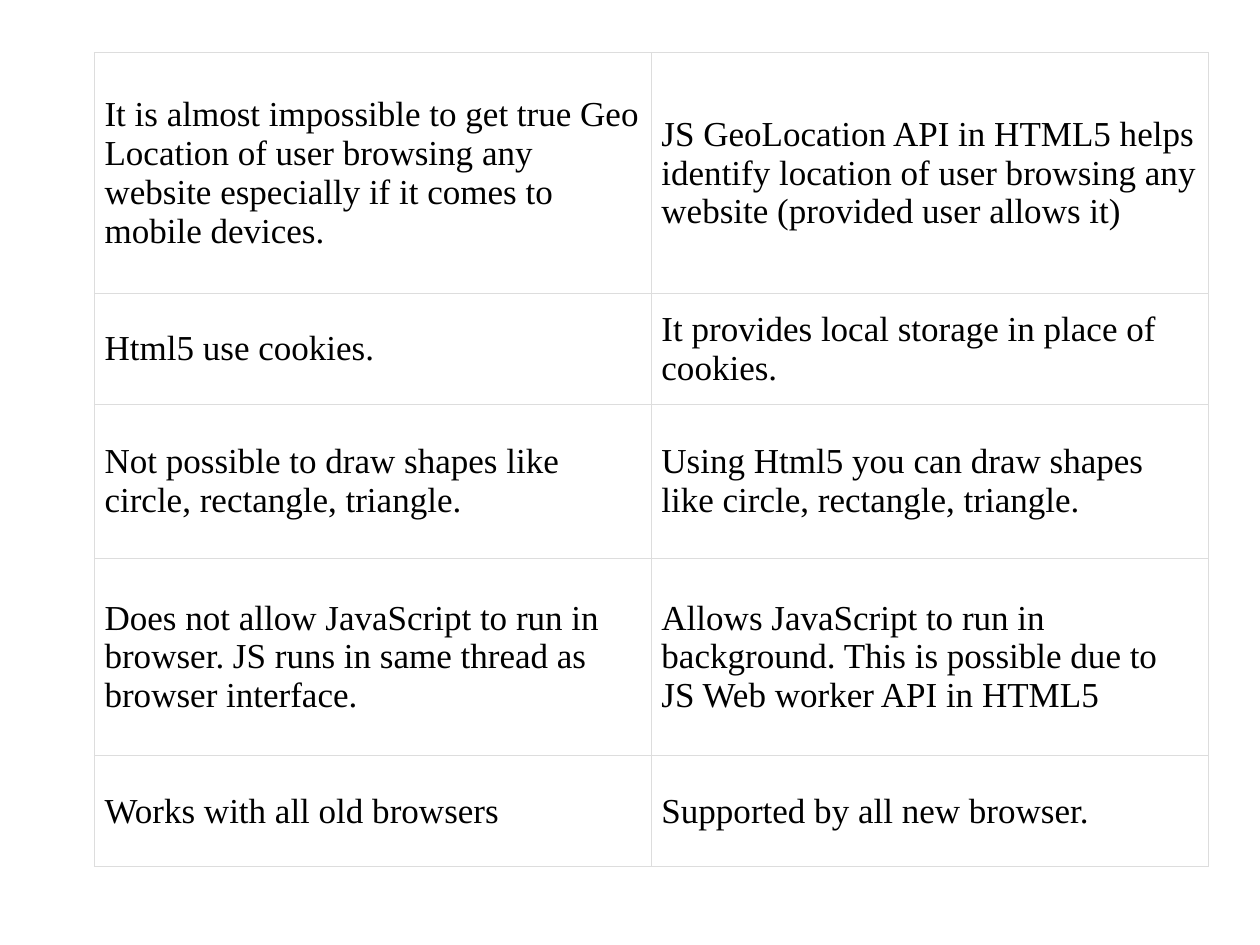
from lxml.etree import SubElement
from pptx import Presentation
from pptx.dml.color import RGBColor
from pptx.enum.text import MSO_ANCHOR
from pptx.oxml.ns import qn
from pptx.util import Inches, Pt

BLACK = RGBColor(0x00, 0x00, 0x00)
WHITE = RGBColor(0xFF, 0xFF, 0xFF)
GREY = RGBColor(0xDD, 0xDD, 0xDD)
COLUMN_WIDTH = 4.42
PADDING = Inches(0.08)

# Row height, older HTML, HTML5
ROWS = [
    (1.91,
     "It is almost impossible to get true Geo Location of user browsing any "
     "website especially if it comes to mobile devices.",
     "JS GeoLocation API in HTML5 helps identify location of user browsing any "
     "website (provided user allows it)"),
    (0.88,
     "Html5 use cookies.",
     "It provides local storage in place of cookies."),
    (1.22,
     "Not possible to draw shapes like circle, rectangle, triangle.",
     "Using Html5 you can draw shapes like circle, rectangle, triangle."),
    (1.57,
     "Does not allow JavaScript to run in browser. JS runs in same thread as "
     "browser interface.",
     "Allows JavaScript to run in background. This is possible due to JS Web "
     "worker API in HTML5"),
    (0.88,
     "Works with all old browsers",
     "Supported by all new browser."),
]


def write_cell(cell, text, size=20, font="Times New Roman", color=BLACK,
               fill=WHITE, border=GREY, border_width=0.75):
    cell.margin_left = cell.margin_right = PADDING
    cell.margin_top = cell.margin_bottom = PADDING
    cell.vertical_anchor = MSO_ANCHOR.MIDDLE
    span = cell.text_frame.paragraphs[0].add_run()
    span.text = text
    span.font.size = Pt(size)
    span.font.name = font
    span.font.color.rgb = color
    # Borders come before the fill in the cell properties
    properties = cell._tc.get_or_add_tcPr()
    for side in ("a:lnL", "a:lnR", "a:lnT", "a:lnB"):
        line = SubElement(properties, qn(side), w=str(Pt(border_width)))
        paint = SubElement(line, qn("a:solidFill"))
        SubElement(paint, qn("a:srgbClr"), val=str(border))
    cell.fill.solid()
    cell.fill.fore_color.rgb = fill


# Page
deck = Presentation()
deck.slide_width, deck.slide_height = Inches(10), Inches(7.5)
page = deck.slides.add_slide(deck.slide_layouts[6])

# Comparison table
height = sum(row[0] for row in ROWS)
frame = page.shapes.add_table(len(ROWS), 2, Inches(0.75), Inches(0.42),
                              Inches(2 * COLUMN_WIDTH), Inches(height))
table = frame.table
table.first_row = table.horz_banding = False
for column in table.columns:
    column.width = Inches(COLUMN_WIDTH)
for row, (row_height, *texts) in zip(table.rows, ROWS):
    row.height = Inches(row_height)
    for cell, text in zip(row.cells, texts):
        write_cell(cell, text)

deck.save("out.pptx")
